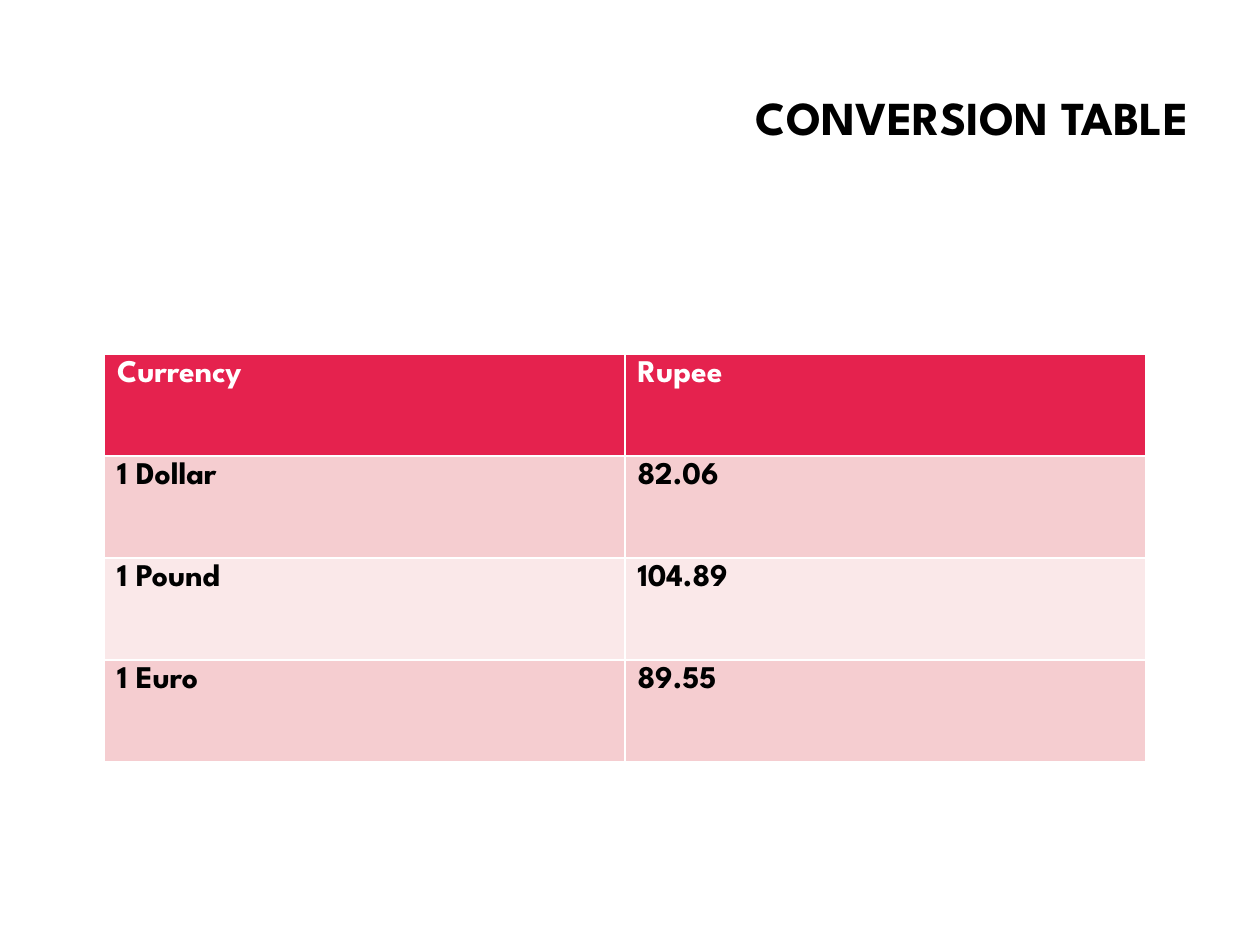
from pptx import Presentation
from pptx.util import Inches, Pt
from pptx.dml.color import RGBColor as RGB
from pptx.enum.text import PP_ALIGN as Align, MSO_ANCHOR as Anchor

# Content
TITLE = "CONVERSION TABLE"
ROWS = [
    ("Currency", "Rupee"),
    ("1 Dollar", "82.06"),
    ("1 Pound", "104.89"),
    ("1 Euro", "89.55"),
]

# Look
FONT = "League Spartan"
COLORS = {
    "head": "E5224E", "odd": "F5CDD0", "even": "FAE8E9",
    "white": "FFFFFF", "black": "000000",
}
WIDE, HIGH = 10, 7.5
TITLE_BOX = (2.56, 0.25, 6.97, 1.41)
LEFT, TOP, COL, ROW = 0.83, 2.81, 4.13, 0.81


def paint(name):
    return RGB.from_string(COLORS[name])


def style(par, size, color):
    for run in par.runs:
        run.font.name = FONT
        run.font.size = Pt(size)
        run.font.bold = True
        run.font.color.rgb = paint(color)


def add_title(slide):
    frame = slide.shapes.add_textbox(*map(Inches, TITLE_BOX)).text_frame
    frame.word_wrap = True
    frame.vertical_anchor = Anchor.MIDDLE
    frame.text = TITLE
    par = frame.paragraphs[0]
    par.alignment = Align.RIGHT
    par.line_spacing = 0.9
    style(par, 27, "black")


def add_rates(slide):
    rows, cols = len(ROWS), len(ROWS[0])
    box = (LEFT, TOP, cols * COL, rows * ROW)
    table = slide.shapes.add_table(rows, cols, *map(Inches, box)).table
    # The default table style draws the white rules between cells
    for r, row in enumerate(ROWS):
        band = "head" if r == 0 else "odd" if r % 2 else "even"
        for c, text in enumerate(row):
            cell = table.cell(r, c)
            cell.fill.solid()
            cell.fill.fore_color.rgb = paint(band)
            cell.text_frame.text = text
            style(cell.text_frame.paragraphs[0], 18, "black" if r else "white")


def main():
    deck = Presentation()
    deck.slide_width, deck.slide_height = Inches(WIDE), Inches(HIGH)
    slide = deck.slides.add_slide(deck.slide_layouts[6])
    add_title(slide)
    add_rates(slide)
    deck.save("out.pptx")


if __name__ == "__main__":
    main()
